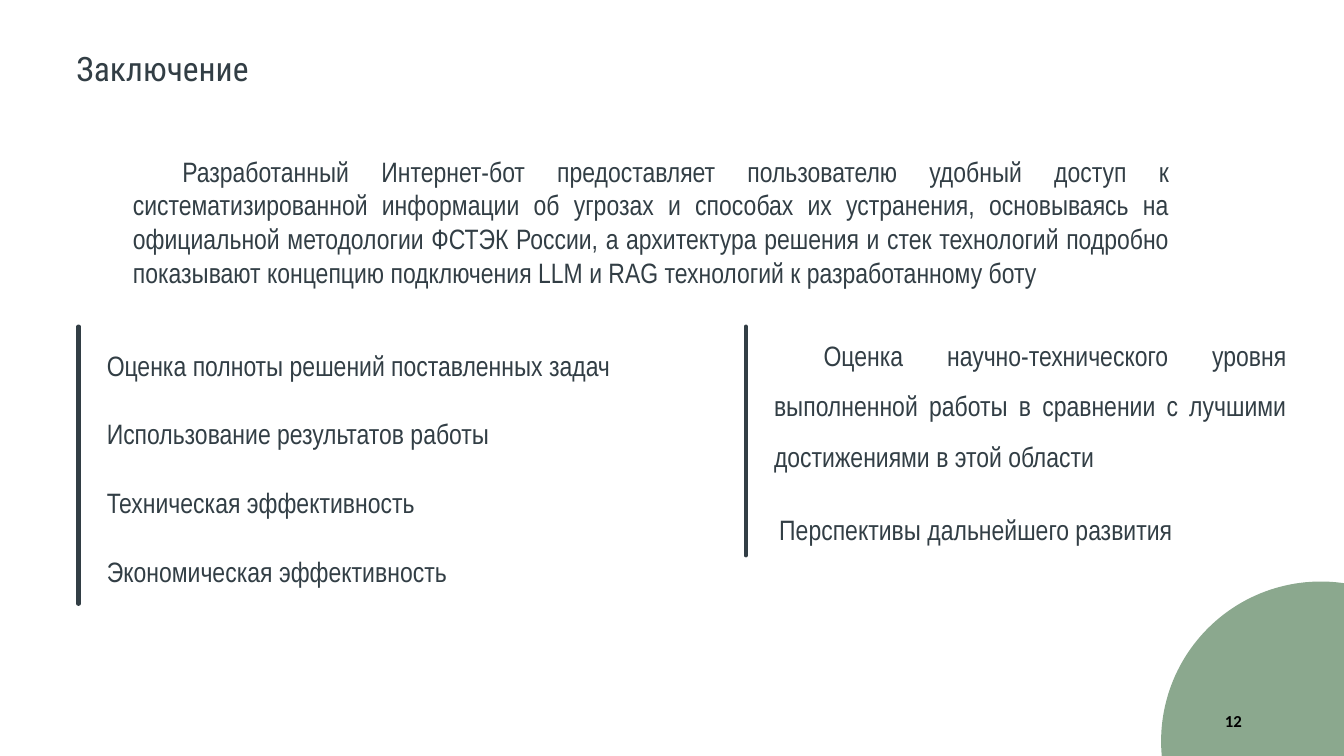
import pptx
import pptx.util
import pptx.dml.color
import pptx.enum.shapes
import pptx.enum.text
import pptx.oxml
import pptx.oxml.ns

Pt = pptx.util.Pt
ALIGN = pptx.enum.text.PP_ALIGN
ANCHOR = pptx.enum.text.MSO_ANCHOR
INK = "323E45"
GREEN = "8BA88E"
BLACK = "000000"
INDENT = 35.4


def color(hex_value):
    return pptx.dml.color.RGBColor.from_string(hex_value)


def add_text(s, box, text, font="Arial Narrow", size=20, ink=INK, bold=False,
             align=ALIGN.JUSTIFY, indent=INDENT, spacing=1.0, anchor=ANCHOR.TOP):
    sp = s.shapes.add_textbox(*map(Pt, box))
    tf = sp.text_frame
    tf.word_wrap = True
    tf.vertical_anchor = anchor
    p = tf.paragraphs[0]
    p.text = text
    p.alignment = align
    p.line_spacing = spacing
    p.font.name = font
    p.font.size = Pt(size)
    p.font.bold = bold
    p.font.color.rgb = color(ink)
    pPr = p._p.get_or_add_pPr()
    pPr.set("marL", "0")
    pPr.set("indent", str(Pt(indent)))


def add_rule(s, x, top, height):
    line = s.shapes.add_connector(pptx.enum.shapes.MSO_CONNECTOR.STRAIGHT,
                                  Pt(x), Pt(top), Pt(x), Pt(top + height))
    line.line.color.rgb = color(INK)
    line.line.width = Pt(3)
    line.line._get_or_add_ln().set("cap", "rnd")
    line._element.spPr.append(pptx.oxml.parse_xml(
        f"<a:effectLst {pptx.oxml.ns.nsdecls('a')}/>"))


def add_page_number(s, x, y, diameter, number):
    sp = s.shapes.add_shape(pptx.enum.shapes.MSO_SHAPE.OVAL,
                            Pt(x), Pt(y), Pt(diameter), Pt(diameter))
    sp.shadow.inherit = False
    sp.fill.solid()
    sp.fill.fore_color.rgb = color(GREEN)
    sp.line.fill.background()
    add_text(s, (x - 151.2, y + 85, 216, 28.8), number, "Calibri", 12, BLACK,
             True, ALIGN.RIGHT, 0, anchor=ANCHOR.MIDDLE)


def add_header(s, x, y, width, title, summary):
    add_text(s, (x, y, width, 36), title, "Roboto Condensed", 24,
             align=ALIGN.LEFT, indent=0)
    add_text(s, (x + 40.3, y + 75.6, 754.6, 104.4), summary)


def add_results(s, x, y, width, items):
    add_rule(s, x + 22.3, y, 198)
    for i, item in enumerate(items):
        add_text(s, (x, y + 49 * i, width, 38.9), item, spacing=1.5)


def add_outlook(s, x, y, width, level, prospects):
    add_rule(s, x + 18.7, y, 163.4)
    add_text(s, (x + 31.7, y - 7.2, 380.2, 111.6), level, spacing=1.5)
    add_text(s, (x, y + 117.4, width, 38.9), prospects, spacing=1.5)


def main():
    prs = pptx.Presentation()
    prs.slide_width, prs.slide_height = Pt(960), Pt(540)
    s = prs.slides.add_slide(prs.slide_layouts[6])
    add_page_number(s, 829.4, 415.4, 228.2, "12")
    add_header(s, 47.5, 31, 417.6, "Заключение",
               "Разработанный Интернет-бот предоставляет пользователю удобный "
               "доступ к систематизированной информации об угрозах и способах их "
               "устранения, основываясь на официальной методологии ФСТЭК России, "
               "а архитектура решения и стек технологий подробно показывают "
               "концепцию подключения LLM и RAG технологий к разработанному боту")
    add_results(s, 33.8, 233.3, 480.2, [
        "Оценка полноты решений поставленных задач",
        "Использование результатов работы",
        "Техническая эффективность",
        "Экономическая эффективность",
    ])
    add_outlook(s, 514.1, 233.3, 480.2,
                "Оценка научно-технического уровня выполненной работы в сравнении "
                "с лучшими достижениями в этой области",
                "Перспективы дальнейшего развития")
    prs.save("out.pptx")


if __name__ == "__main__":
    main()
